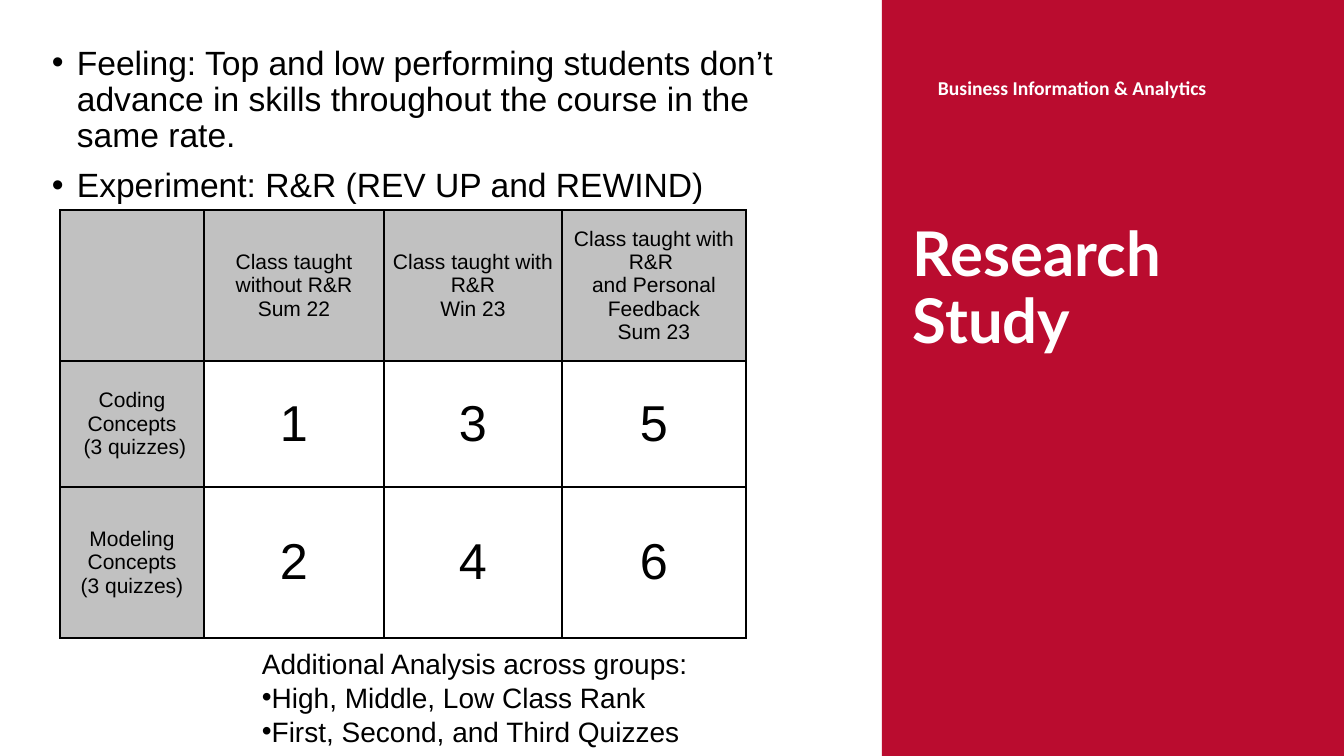
from pptx import Presentation
from pptx.dml.color import RGBColor
from pptx.enum.shapes import MSO_SHAPE
from pptx.enum.text import MSO_ANCHOR, PP_ALIGN
from pptx.oxml import parse_xml
from pptx.oxml.ns import nsdecls
from pptx.util import Pt
from lxml.etree import SubElement

RED, GREY, BLACK, WHITE = "BA0C2F", "C1C1C1", "000000", "FFFFFF"
HEADER = "Business Information & Analytics"
TITLE = "Research Study"
POINTS = [
    "Feeling: Top and low performing students don’t advance in skills "
    "throughout the course in the same rate.",
    "Experiment: R&R (REV UP and REWIND)",
]
GRID = [
    [[], ["Class taught without R&R", "Sum 22"],
     ["Class taught with R&R", "Win 23"],
     ["Class taught with R&R ", "and Personal Feedback", "Sum 23"]],
    [["Coding Concepts", " (3 quizzes)"], ["1"], ["3"], ["5"]],
    [["Modeling Concepts", "(3 quizzes)"], ["2"], ["4"], ["6"]],
]
COLS = [144, 180, 178, 184]
ROWS = [151, 126, 151]
EXTRA = ["Additional Analysis across groups: "]
GROUPS = ["High, Middle, Low Class Rank", "First, Second, and Third Quizzes"]


def px(n):
    return round(n * 914400 / 100.8)


def color(text):
    return RGBColor.from_string(text)


def bullet(para, indent):
    props = para._p.get_or_add_pPr()
    props.set("marL", str(px(indent)))
    props.set("indent", str(px(-indent)))
    props.append(parse_xml(f'<a:buFont {nsdecls("a")} typeface="Arial"/>'))
    props.append(parse_xml(f'<a:buChar {nsdecls("a")} char="•"/>'))


def write(frame, lines, size, font="Arial", ink=BLACK, bold=False,
          align=PP_ALIGN.LEFT, spacing=None, before=0, indent=None):
    paras = []
    for line in lines:
        first = not frame.paragraphs[0].runs
        para = frame.paragraphs[0] if first else frame.add_paragraph()
        para.alignment = align
        if spacing:
            para.line_spacing = spacing
        if before and not first:
            para.space_before = Pt(before)
        if indent is not None:
            bullet(para, indent)
        run = para.add_run()
        run.text = line
        run.font.size = Pt(size)
        run.font.name = font
        run.font.bold = bold
        run.font.color.rgb = color(ink)
        paras.append(para)
    return paras


def box(left, top, width, height, anchor=MSO_ANCHOR.TOP):
    shape = slide.shapes.add_textbox(px(left), px(top), px(width), px(height))
    frame = shape.text_frame
    frame.word_wrap = True
    frame.vertical_anchor = anchor
    return frame


def border(cell):
    props = cell._tc.get_or_add_tcPr()
    for spot, side in enumerate(("lnL", "lnR", "lnT", "lnB")):
        props.insert(spot, parse_xml(
            f'<a:{side} {nsdecls("a")} w="12700"><a:solidFill>'
            f'<a:srgbClr val="{BLACK}"/></a:solidFill></a:{side}>'))


deck = Presentation()
deck.slide_width, deck.slide_height = px(1344), px(756)
slide = deck.slides.add_slide(deck.slide_layouts[6])

panel = slide.shapes.add_shape(
    MSO_SHAPE.RECTANGLE, px(882), 0, px(462), px(756))
panel.shadow.inherit = False
panel.fill.solid()
panel.fill.fore_color.rgb = color(RED)
panel.line.fill.background()

write(box(928, 71, 416, 34), [HEADER], 14, "Calibri", WHITE, True)
write(box(42, 41, 741, 563), POINTS, 24, spacing=0.9, before=10, indent=25)
title = box(903, 210, 441, 160, MSO_ANCHOR.MIDDLE)
title.margin_right = px(40)
write(title, [TITLE], 44, "Lato", WHITE, True, spacing=0.9)

table = slide.shapes.add_table(
    len(ROWS), len(COLS), px(60), px(210), px(sum(COLS)), px(sum(ROWS))).table
for col, width in zip(table.columns, COLS):
    col.width = px(width)
for row, height in zip(table.rows, ROWS):
    row.height = px(height)
for r, row in enumerate(GRID):
    for c, lines in enumerate(row):
        cell = table.cell(r, c)
        label = r == 0 or c == 0
        cell.fill.solid()
        cell.fill.fore_color.rgb = color(GREY if label else WHITE)
        cell.vertical_anchor = MSO_ANCHOR.MIDDLE
        cell.margin_left = cell.margin_right = px(1)
        cell.margin_top = cell.margin_bottom = px(1)
        write(cell.text_frame, lines, 15 if label else 36,
              align=PP_ALIGN.CENTER)
        border(cell)

notes = box(252, 642, 891, 112)
write(notes, EXTRA, 20)
write(notes, GROUPS, 20, indent=0)

deck.save("out.pptx")
